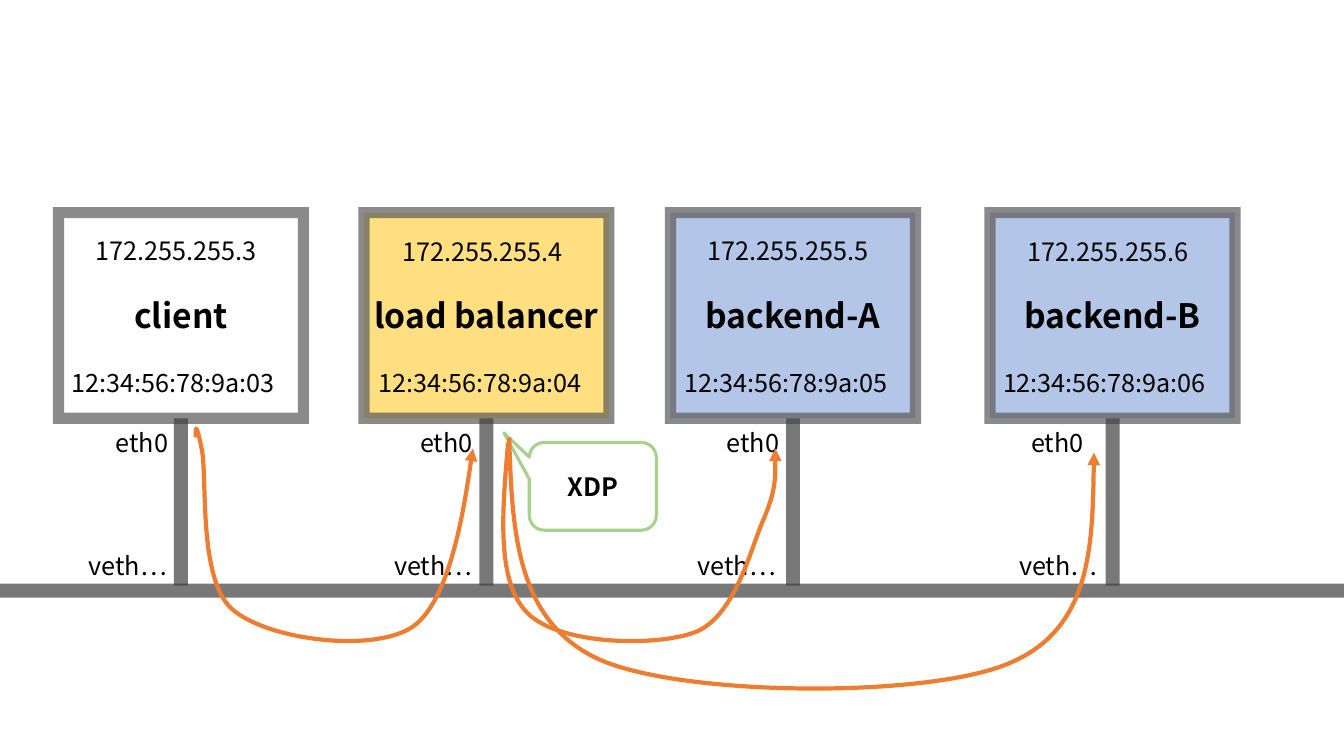
import pptx
import pptx.util
import pptx.dml.color
import pptx.enum.shapes
import pptx.enum.text
import pptx.oxml.ns
from lxml import etree

Inches, Pt = pptx.util.Inches, pptx.util.Pt
RGBColor = pptx.dml.color.RGBColor
MSO_SHAPE = pptx.enum.shapes.MSO_SHAPE
qn = pptx.oxml.ns.qn

FONT = "Noto Sans CJK SC"
BLACK = RGBColor(0x00, 0x00, 0x00)
WHITE = RGBColor(0xFF, 0xFF, 0xFF)
WIRE = RGBColor(0x40, 0x40, 0x40)
FRAME = RGBColor(0x59, 0x59, 0x59)
AMBER = RGBColor(0xFF, 0xC0, 0x00)
BLUE = RGBColor(0x44, 0x72, 0xC4)
GREEN = RGBColor(0xA9, 0xD1, 0x8E)
ORANGE = RGBColor(0xED, 0x7D, 0x31)

# name, IP, MAC, fill, opacity, box left, IP left and top, MAC, eth0, veth left
HOSTS = [
    ("client", "172.255.255.3", "12:34:56:78:9a:03", WHITE, 100,
     0.58, 0.85, 2.29, 0.61, 1.05, 0.78),
    ("load balancer", "172.255.255.4", "12:34:56:78:9a:04", AMBER, 50,
     3.61, 3.89, 2.3, 3.66, 4.07, 3.81),
    ("backend-A", "172.255.255.5", "12:34:56:78:9a:05", BLUE, 40,
     6.65, 6.92, 2.29, 6.69, 7.11, 6.82),
    ("backend-B", "172.255.255.6", "12:34:56:78:9a:06", BLUE, 40,
     9.82, 10.09, 2.3, 9.85, 10.13, 10.01),
]
BOX_TOP, BOX_W, BOX_H = 2.11, 2.43, 2.04
WIRE_END, BRIDGE_Y = 5.81, 5.86

# frame, then the start point and the two controls and end of each curve
ROUTES = [
    ((1.94, 4.25, 2.75, 2.11),
     [(1.94, 4.34),
      (1.94, 4.25), (1.94, 4.16), (2, 4.45),
      (2.06, 4.73), (1.96, 5.76), (2.31, 6.05),
      (2.66, 6.35), (3.7, 6.48), (4.09, 6.22),
      (4.49, 5.95), (4.69, 4.45), (4.69, 4.45)]),
    ((4.99, 4.39, 2.7, 1.97),
     [(5.04, 4.39),
      (4.98, 5.08), (4.92, 5.77), (5.23, 6.08),
      (5.54, 6.4), (6.51, 6.42), (6.9, 6.27),
      (7.29, 6.11), (7.44, 5.46), (7.57, 5.16),
      (7.7, 4.86), (7.69, 4.65), (7.69, 4.45)]),
    ((5.05, 4.34, 5.8, 2.49),
     [(5.05, 4.34),
      (5.08, 5.25), (5.11, 6.16), (5.94, 6.54),
      (6.76, 6.91), (9.19, 6.93), (10.01, 6.58),
      (10.82, 6.24), (10.84, 5.36), (10.85, 4.49)]),
]


def set_opacity(parent, percent):
    """Give the solid fill below parent an opacity."""
    color = parent.find(qn("a:solidFill"))[0]
    etree.SubElement(color, qn("a:alpha")).set("val", str(percent * 1000))


def set_line(sp, color, width, opacity=100):
    """Colour an outline and return its element."""
    sp.line.color.rgb = color
    sp.line.width = Pt(width)
    ln = sp.line._get_or_add_ln()
    if opacity < 100:
        set_opacity(ln, opacity)
    return ln


def write(sp, text, size, bold=False, align=None):
    """Put one formatted line of text in a shape."""
    tf = sp.text_frame
    tf.word_wrap = True
    tf.text = text
    p = tf.paragraphs[0]
    p.alignment = align
    font = p.runs[0].font
    font.name, font.size, font.bold = FONT, Pt(size), bold
    font.color.rgb = BLACK


def add_label(s, text, left, top, width):
    """Add a plain text label."""
    sp = s.shapes.add_textbox(Inches(left), Inches(top), Inches(width), Inches(0.4))
    write(sp, text, 18)


def add_block(s, kind, box, text, size, fill):
    """Add a filled shape with a bold centred caption."""
    sp = s.shapes.add_shape(kind, *map(Inches, box))
    sp.shadow.inherit = False
    sp.fill.solid()
    sp.fill.fore_color.rgb = fill
    write(sp, text, size, True, pptx.enum.text.PP_ALIGN.CENTER)
    sp.text_frame.vertical_anchor = pptx.enum.text.MSO_ANCHOR.MIDDLE
    sp.text_frame.margin_left = sp.text_frame.margin_right = 0
    return sp


def add_wire(s, x1, y1, x2, y2):
    """Add a thick translucent network wire."""
    sp = s.shapes.add_connector(
        pptx.enum.shapes.MSO_CONNECTOR.STRAIGHT, *map(Inches, (x1, y1, x2, y2)))
    set_line(sp, WIRE, 10, 70)
    etree.SubElement(sp._element.spPr, qn("a:effectLst"))
    return sp


def add_route(s, frame, points):
    """Add a curved packet route with an arrowhead."""
    left, top, width, height = map(Inches, frame)
    builder = s.shapes.build_freeform(left, top)
    builder.add_line_segments([(left + width, top + height)], close=False)
    sp = builder.convert_to_shape()
    outline = next(sp._element.iter(qn("a:path")))
    for child in list(outline):
        outline.remove(child)
    for i, (x, y) in enumerate(points):
        if i % 3 == 1 or i == 0:
            step = etree.SubElement(outline, qn("a:cubicBezTo" if i else "a:moveTo"))
        pt = etree.SubElement(step, qn("a:pt"))
        pt.set("x", str(Inches(x) - left))
        pt.set("y", str(Inches(y) - top))
    sp.shadow.inherit = False
    sp.fill.background()
    ln = set_line(sp, ORANGE, 3)
    etree.SubElement(ln, qn("a:tailEnd")).set("type", "triangle")


def main():
    """Build the load balancer network slide."""
    prs = pptx.Presentation()
    prs.slide_width, prs.slide_height = Inches(13.33), Inches(7.5)
    s = prs.slides.add_slide(prs.slide_layouts[6])

    add_wire(s, 0, BRIDGE_Y, 13.33, BRIDGE_Y)
    for name, ip, mac, fill, opacity, left, ip_x, ip_y, mac_x, eth_x, veth_x in HOSTS:
        box = add_block(s, MSO_SHAPE.RECTANGLE, (left, BOX_TOP, BOX_W, BOX_H),
                        name, 24, fill)
        if opacity < 100:
            set_opacity(box._element.spPr, opacity)
        ln = set_line(box, FRAME, 8, 70)
        etree.SubElement(ln, qn("a:miter")).set("lim", "800000")
        x = left + BOX_W / 2
        add_wire(s, x, BOX_TOP + BOX_H, x, WIRE_END).begin_connect(box, 2)
        add_label(s, ip, ip_x, ip_y, 1.89)
        add_label(s, mac, mac_x, 3.59, 2.36)
        add_label(s, "eth0", eth_x, 4.19, 0.8)
        add_label(s, "veth…", veth_x, 5.41, 1.05)

    xdp = add_block(s, MSO_SHAPE.ROUNDED_RECTANGULAR_CALLOUT,
                    (5.25, 4.39, 1.26, 0.87), "XDP", 18, WHITE)
    set_line(xdp, GREEN, 2.25)
    for i, value in enumerate((-0.7, -0.61, 0.17)):
        xdp.adjustments[i] = value

    for frame, points in ROUTES:
        add_route(s, frame, points)
    prs.save("out.pptx")


if __name__ == "__main__":
    main()
